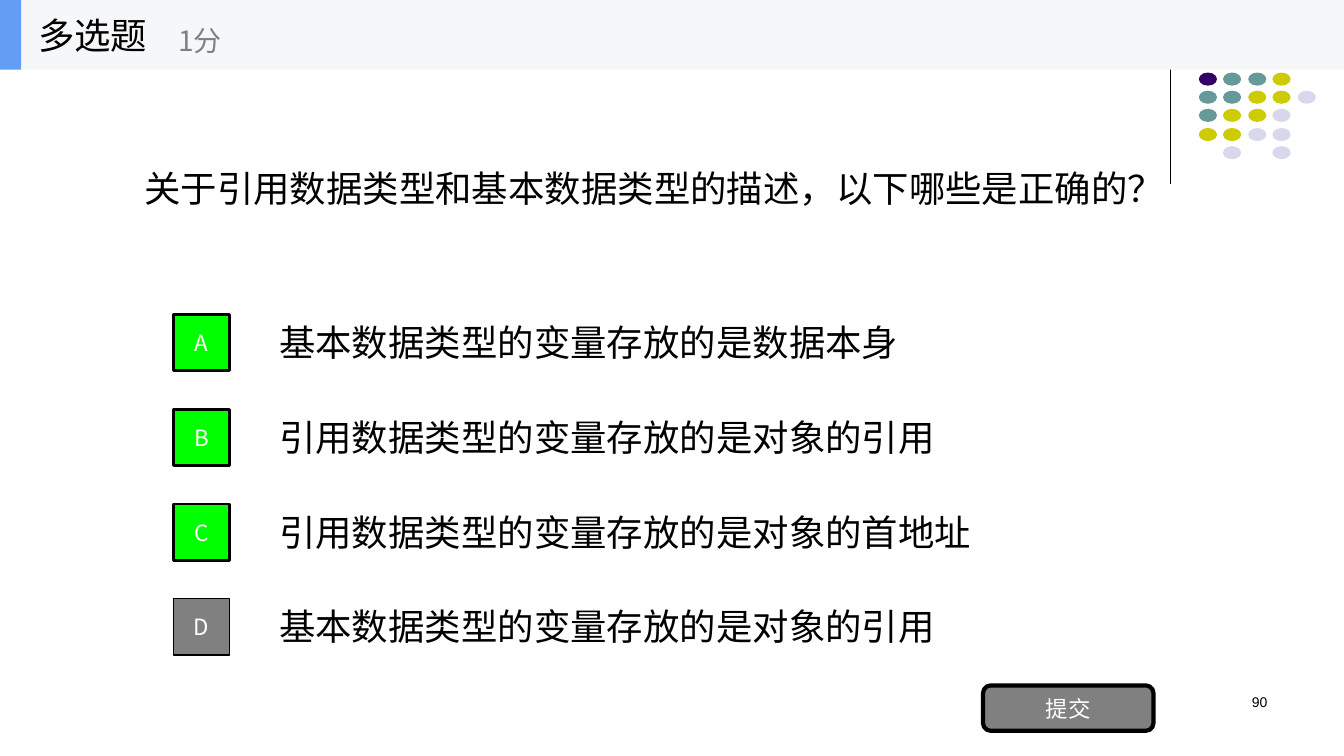
import pptx
import pptx.dml.color
import pptx.enum.shapes
import pptx.enum.text
import pptx.oxml.ns
import pptx.util
from lxml import etree

RGBColor = pptx.dml.color.RGBColor
Shape = pptx.enum.shapes.MSO_SHAPE
Align = pptx.enum.text.PP_ALIGN
Anchor = pptx.enum.text.MSO_ANCHOR

BLACK = RGBColor(0x00, 0x00, 0x00)
WHITE = RGBColor(0xFF, 0xFF, 0xFF)
GRAY = RGBColor(0x80, 0x80, 0x80)
GREEN = RGBColor(0x00, 0xFF, 0x00)
BLUE = RGBColor(0x63, 0x9E, 0xF4)
BAND = RGBColor(0xF6, 0xF7, 0xF8)
PURPLE = RGBColor(0x33, 0x00, 0x66)
TEAL = RGBColor(0x66, 0x99, 0x99)
OLIVE = RGBColor(0xCC, 0xCC, 0x00)
LAVENDER = RGBColor(0xD8, 0xD8, 0xEC)

PX = 9144
CJK_FONT = "Noto Sans CJK SC"


def write(box, text, size, color, align=Align.LEFT, anchor=Anchor.MIDDLE, font=CJK_FONT):
    frame = box.text_frame
    frame.text = text
    frame.word_wrap = True
    frame.auto_size = pptx.enum.text.MSO_AUTO_SIZE.NONE
    frame.vertical_anchor = anchor
    para = frame.paragraphs[0]
    para.alignment = align
    span = para.runs[0]
    span.font.size = pptx.util.Pt(size)
    span.font.color.rgb = color
    span.font.name = font
    east_asian = etree.SubElement(span.font._element, pptx.oxml.ns.qn("a:ea"))
    east_asian.set("typeface", font)


def draw(kind, left, top, width, height, fill, line_width=0):
    shape = page.shapes.add_shape(kind, left * PX, top * PX, width * PX, height * PX)
    shape.shadow.inherit = False
    shape.fill.solid()
    shape.fill.fore_color.rgb = fill
    if line_width:
        shape.line.color.rgb = BLACK
        shape.line.width = pptx.util.Pt(line_width)
    else:
        shape.line.fill.background()
    return shape


deck = pptx.Presentation()
deck.slide_width = 1333 * PX
deck.slide_height = 750 * PX
page = deck.slides.add_slide(deck.slide_layouts[5])

question = page.shapes.title
question.left, question.top, question.width, question.height = 133 * PX, 160 * PX, 1042 * PX, 53 * PX
write(question, "关于引用数据类型和基本数据类型的描述，以下哪些是正确的？", 26, BLACK)

divider = page.shapes.add_connector(
    pptx.enum.shapes.MSO_CONNECTOR.STRAIGHT, 1161 * PX, 17 * PX, 1161 * PX, 183 * PX
)
divider.line.color.rgb = BLACK
divider.line.width = pptx.util.Pt(0.75)
etree.SubElement(divider._element.spPr, pptx.oxml.ns.qn("a:effectLst"))

dot_colors = {"P": PURPLE, "T": TEAL, "O": OLIVE, "L": LAVENDER}
for row, pattern in enumerate(["PTTO", "TTOOL", "TOOL", "OOLL", " L L"]):
    for column, key in enumerate(pattern):
        if key in dot_colors:
            left = 1189 + 49 * column // 2
            top = 72 + round(73 * row / 4)
            draw(Shape.OVAL, left, top, 18, 13, dot_colors[key])

page_number = page.shapes.add_textbox(956 * PX, 683 * PX, 311 * PX, 50 * PX)
write(page_number, "90", 10, BLACK, Align.RIGHT, Anchor.TOP, "Arial")

options = [
    ("A", "基本数据类型的变量存放的是数据本身", GREEN, 2),
    ("B", "引用数据类型的变量存放的是对象的引用", GREEN, 2),
    ("C", "引用数据类型的变量存放的是对象的首地址", GREEN, 2),
    ("D", "基本数据类型的变量存放的是对象的引用", GRAY, 1),
]
for index, (letter, answer, fill, line_width) in enumerate(options):
    top = 312 + 94 * index
    answer_width = 33 + 36 * len(answer)
    answer_box = page.shapes.add_textbox(267 * PX, (top + 1) * PX, answer_width * PX, 53 * PX)
    write(answer_box, answer, 26, BLACK)
    letter_box = draw(Shape.RECTANGLE, 172, top, 56, 56, fill, line_width)
    write(letter_box, letter, 16, WHITE, Align.CENTER)

submit = draw(Shape.ROUNDED_RECTANGLE, 975, 680, 169, 45, GRAY, 3)
write(submit, "提交", 16, WHITE, Align.CENTER)

draw(Shape.RECTANGLE, 0, 0, 1333, 69, BAND)
draw(Shape.RECTANGLE, 0, 0, 21, 69, BLUE)
quiz_type = page.shapes.add_textbox(28 * PX, 0, 208 * PX, 69 * PX)
write(quiz_type, "多选题", 26, BLACK)
score = page.shapes.add_textbox(167 * PX, 12 * PX, 250 * PX, 56 * PX)
write(score, "1分", 20, GRAY)

deck.save("out.pptx")
